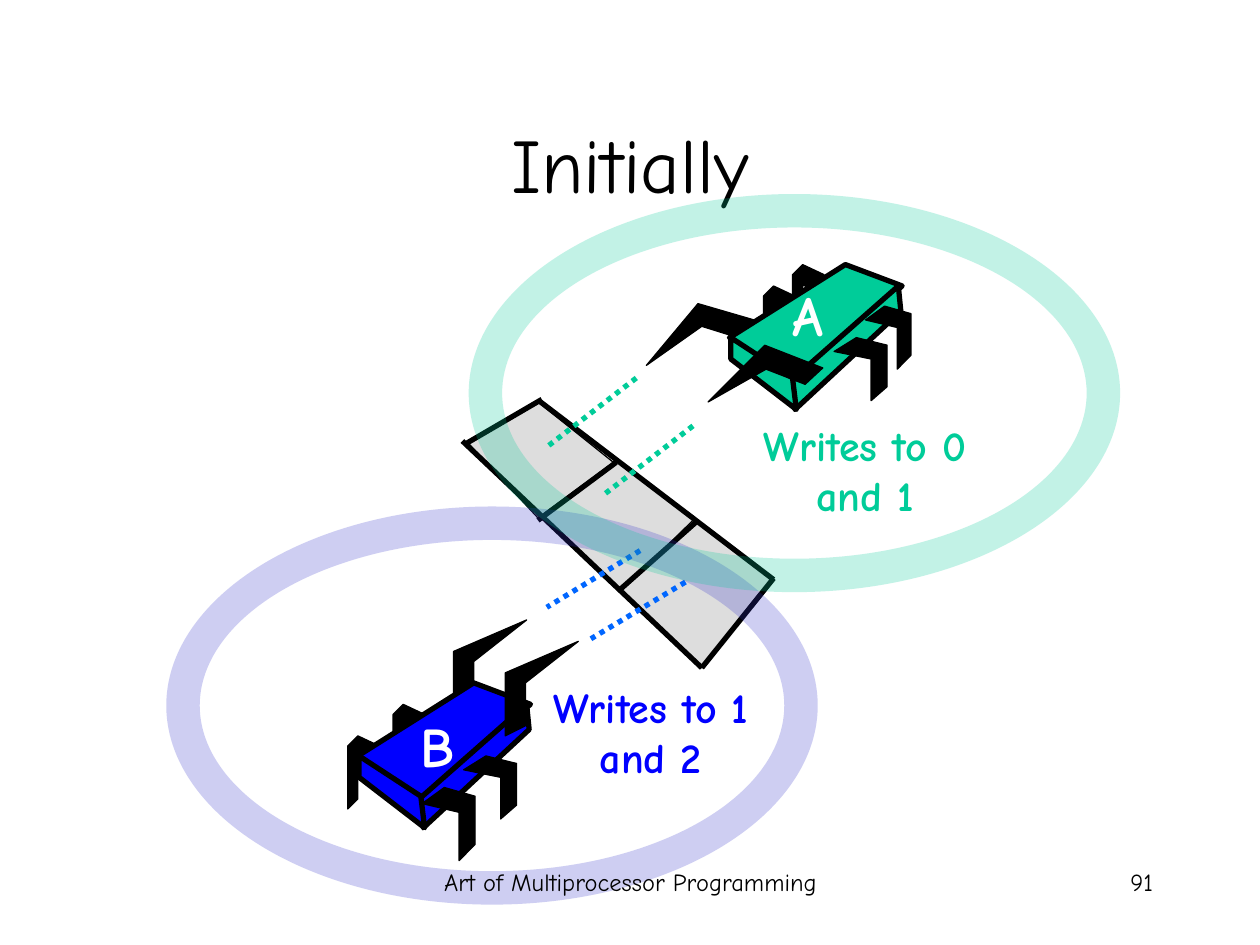
from lxml import etree
from pptx import Presentation
from pptx.dml.color import RGBColor
from pptx.enum.dml import MSO_LINE
from pptx.enum.shapes import MSO_CONNECTOR, MSO_SHAPE
from pptx.enum.text import MSO_ANCHOR, PP_ALIGN
from pptx.oxml.ns import qn
from pptx.util import Inches, Pt

LEFT, CENTER, RIGHT = PP_ALIGN.LEFT, PP_ALIGN.CENTER, PP_ALIGN.RIGHT
MIDDLE = MSO_ANCHOR.MIDDLE
DOTTED = MSO_LINE.ROUND_DOT
STRAIGHT = MSO_CONNECTOR.STRAIGHT
DONUT = MSO_SHAPE.DONUT

BLACK, WHITE, GREY = "000000", "FFFFFF", "DDDDDD"
GREEN, BLUE, INDIGO, SKY = "00CC99", "0000FF", "3333CC", "0066FF"

# Spider parts; legs and claws are relative to their own left top corner
CLAW = [(0, 0.75), (0.16, 0.67), (0.16, 0.33), (0.58, 0), (0, 0.25)]
BACK_LEG = [(0.25, 0.08), (0.08, 0), (0, 0.08), (0, 0.58), (0.08, 0.5),
            (0.08, 0.16), (0.25, 0.25)]
SIDE_LEG = [(0.42, 0), (0, 0.22), (0.7, 0.34), (0.7, 1), (1, 0.78), (1, 0.12)]
# Body faces (top, side, front), relative to the body's left top corner
BODY = [
    [(0.92, 0), (0, 0.58), (0.52, 0.93), (1.37, 0.17)],
    [(1.34, 0.17), (0.5, 0.91), (0.52, 1.15), (1.36, 0.37)],
    [(0.01, 0.58), (0.01, 0.75), (0.53, 1.15), (0.5, 0.9)],
]


def rgb(color):
    return RGBColor.from_string(color)


def shift(points, x, y, w=1, h=1):
    return [(x + px * w, y + py * h) for px, py in points]


class Deck:
    font = "Comic Neue"

    def __init__(self, prs):
        self.s = prs.slides.add_slide(prs.slide_layouts[5])

    def fill_text(self, sp, text, size, color, align, bold=False):
        tf = sp.text_frame
        tf.text = text
        p = tf.paragraphs[0]
        p.alignment = align
        font = p.runs[0].font
        font.name, font.size, font.bold = self.font, Pt(size), bold
        font.color.rgb = rgb(color)
        return tf

    def title(self, text, x, y, w, h):
        sp = self.s.shapes.title
        sp.left, sp.top, sp.width, sp.height = map(Inches, (x, y, w, h))
        tf = self.fill_text(sp, text, 44, BLACK, CENTER)
        tf.vertical_anchor = MIDDLE

    def text(self, text, x, y, w, h, size, color, align=CENTER, bold=False,
             wrap=True):
        sp = self.s.shapes.add_textbox(*map(Inches, (x, y, w, h)))
        self.fill_text(sp, text, size, color, align, bold).word_wrap = wrap

    def polygon(self, points, fill=BLACK, width=0.75):
        pts = [(Inches(x), Inches(y)) for x, y in points]
        builder = self.s.shapes.build_freeform(*pts[0])
        builder.add_line_segments(pts[1:], close=True)
        sp = builder.convert_to_shape()
        sp.shadow.inherit = False
        sp.fill.solid()
        sp.fill.fore_color.rgb = rgb(fill)
        sp.line.color.rgb = rgb(BLACK)
        sp.line.width = Pt(width)

    def line(self, start, end, color=BLACK, dash=None):
        ends = map(Inches, (*start, *end))
        cx = self.s.shapes.add_connector(STRAIGHT, *ends)
        cx.line.color.rgb = rgb(color)
        cx.line.width = Pt(3)
        if dash:
            cx.line.dash_style = dash
        etree.SubElement(cx._element.spPr, qn("a:effectLst"))

    def ring(self, x, y, w, h, color, opacity):
        sp = self.s.shapes.add_shape(DONUT, *map(Inches, (x, y, w, h)))
        sp.adjustments[0] = 0.084
        sp.shadow.inherit = False
        sp.fill.solid()
        sp.fill.fore_color.rgb = rgb(color)
        sp.line.fill.background()
        clr = sp._element.spPr.find(qn("a:solidFill"))[0]
        etree.SubElement(clr, qn("a:alpha"), val=str(opacity * 1000))

    def spider(self, x, y, color, back_claw, front_claw, back_legs, side_legs):
        self.polygon(back_claw)
        for corner in back_legs:
            self.polygon(shift(BACK_LEG, *corner))
        for face in BODY:
            self.polygon(shift(face, x, y), color, 3)
        for box in side_legs:
            self.polygon(shift(SIDE_LEG, *box))
        self.polygon(front_claw)


def main():
    prs = Presentation()
    prs.slide_width, prs.slide_height = Inches(10), Inches(7.5)
    d = Deck(prs)
    d.title("Initially", 0.75, 0.67, 8.5, 1.25)

    # Array cells 2, 1 and 0
    for cell in (
        [(5.51, 4.11), (4.9, 4.68), (5.57, 5.3), (6.14, 4.6)],
        [(4.29, 4.08), (4.92, 4.7), (5.52, 4.11), (4.89, 3.65)],
        [(4.27, 3.19), (3.71, 3.51), (4.27, 4.11), (4.87, 3.67)],
    ):
        d.polygon(cell, GREY)

    # Spiders B and A
    d.spider(2.84, 5.42, BLUE,
             back_claw=shift(CLAW, 3.6, 4.92),
             front_claw=shift(CLAW, 4.01, 5.09),
             back_legs=[(2.76, 5.84), (3.12, 5.59)],
             side_legs=[(3.35, 6.25, 0.42, 0.58), (3.68, 6, 0.42, 0.5)])
    d.spider(5.79, 2.1, GREEN,
             back_claw=[(6.02, 2.55), (5.89, 2.69), (5.57, 2.59),
                        (5.13, 2.9), (5.54, 2.41)],
             front_claw=[(6.53, 2.92), (6.39, 3.05), (6.08, 2.93),
                         (5.62, 3.19), (6.07, 2.74)],
             back_legs=[(6.29, 2.1), (6.06, 2.27)],
             side_legs=[(6.87, 2.43, 0.36, 0.5), (6.62, 2.68, 0.42, 0.5)])

    # What each spider writes
    d.text("Writes to 0 and 1", 5.94, 3.28, 1.85, 0.9, 24, GREEN, bold=True)
    d.text("Writes to 1 and 2", 4.24, 5.36, 1.85, 0.9, 24, BLUE, bold=True)

    # Array outline and cell dividers
    for start, end in (
        ((3.67, 3.5), (5.57, 5.3)),
        ((4.29, 3.19), (6.14, 4.6)),
        ((3.7, 3.52), (4.3, 3.17)),
        ((5.57, 5.3), (6.14, 4.59)),
        ((4.92, 4.68), (5.54, 4.13)),
        ((4.27, 4.13), (4.89, 3.67)),
    ):
        d.line(start, end)

    # Dotted lines from claws to cells
    for x, y, dx, dy, color in (
        (5.05, 3, -0.7, 0.54, GREEN),
        (5.5, 3.38, -0.7, 0.54, GREEN),
        (5.08, 4.37, -0.74, 0.45, SKY),
        (5.44, 4.62, -0.75, 0.45, SKY),
    ):
        d.line((x, y), (x + dx, y + dy), color, DOTTED)

    # Spider names
    d.text("A", 6.19, 2.18, 0.44, 0.64, 32, WHITE, RIGHT, True, wrap=False)
    d.text("B", 3.24, 5.6, 0.47, 0.64, 32, WHITE, RIGHT, True, wrap=False)

    # Rings around each spider and its cells
    d.ring(1.32, 4.02, 5.17, 3.16, INDIGO, 24)
    d.ring(3.72, 1.54, 5.17, 3.16, GREEN, 24)

    # Footer and slide number
    d.text("Art of Multiprocessor Programming", 3.42, 6.83, 3.17, 0.5, 14, BLACK)
    d.text("91", 7.17, 6.83, 2.08, 0.5, 14, BLACK, RIGHT)

    prs.save("out.pptx")


if __name__ == "__main__":
    main()
